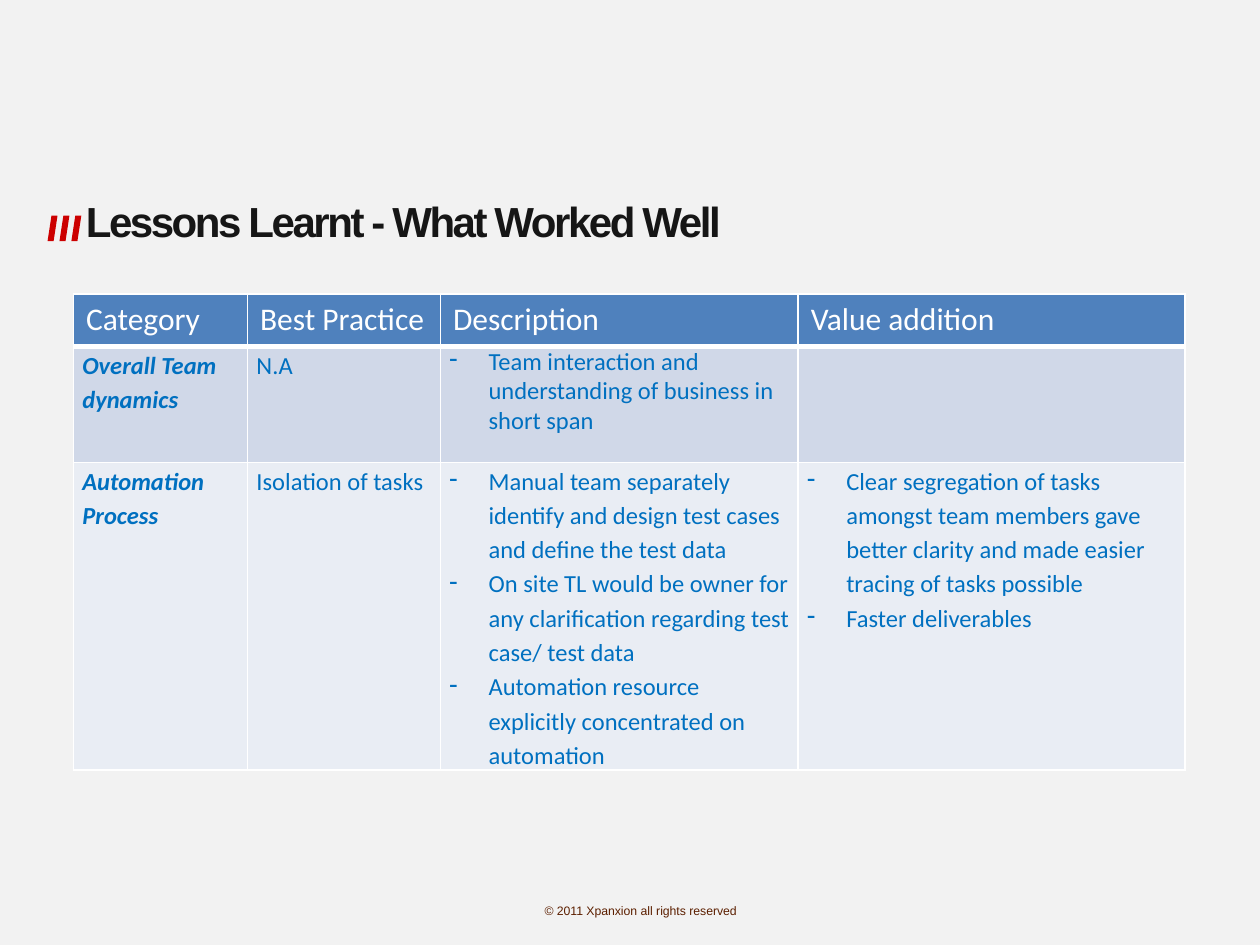
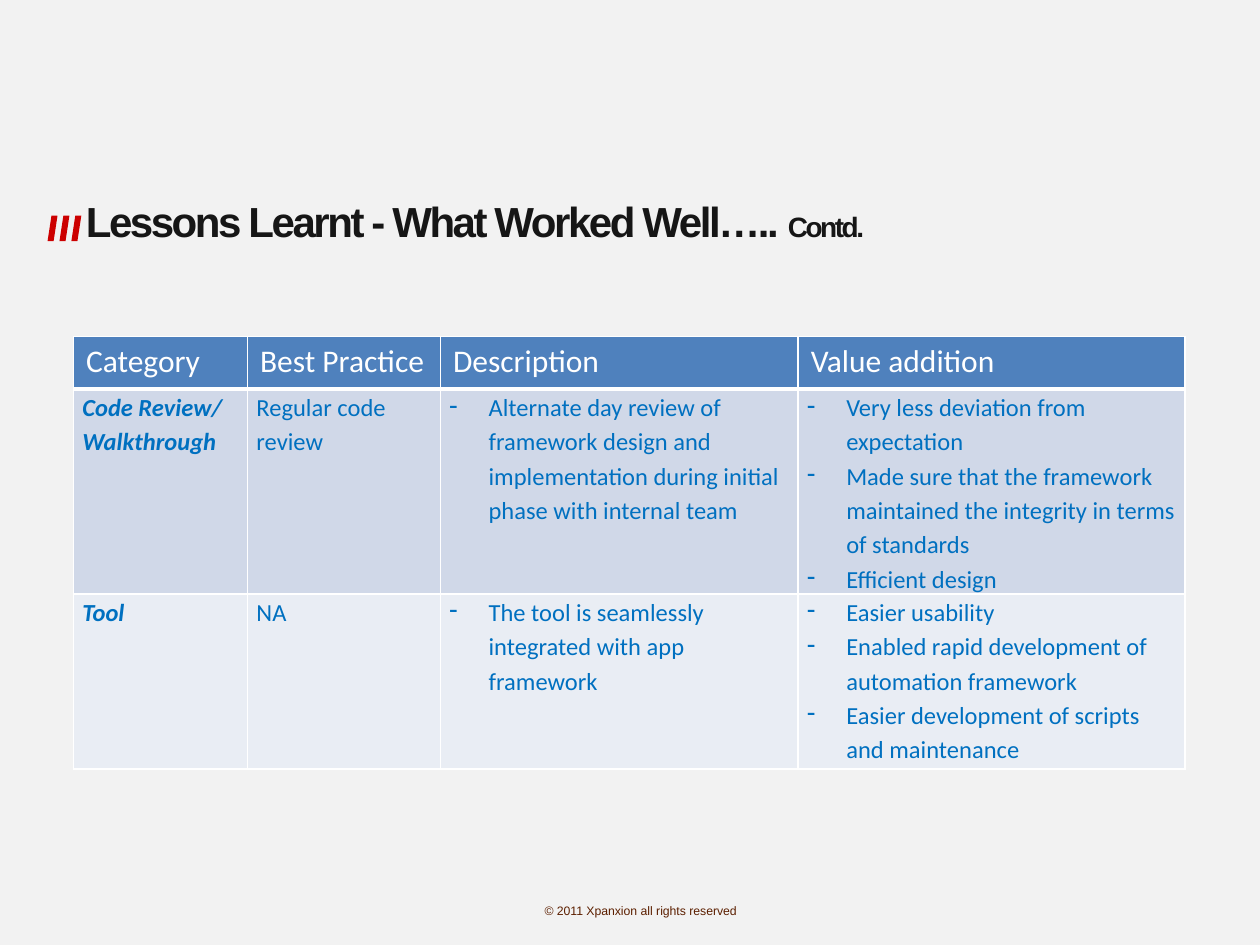
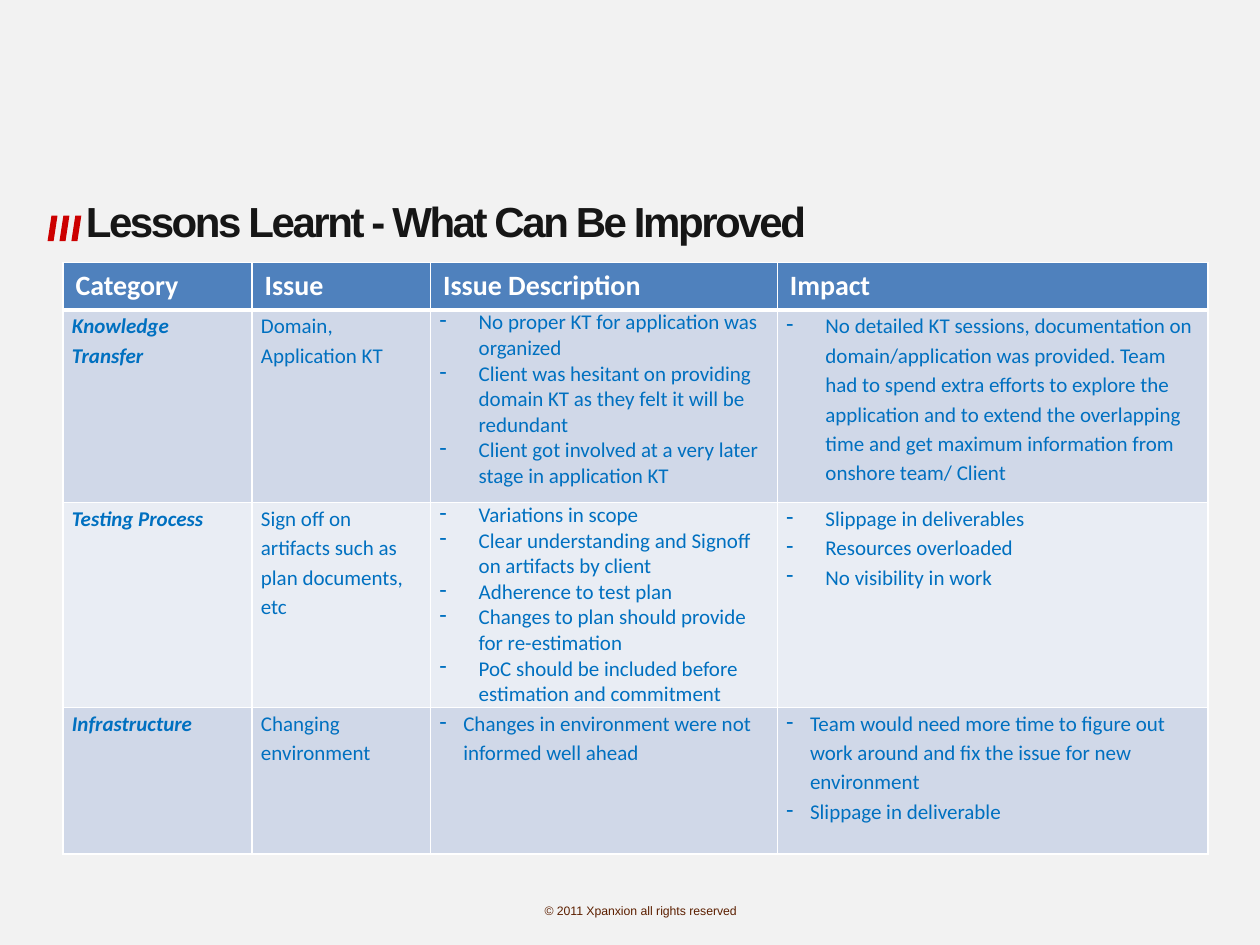
import pptx
import pptx.util
import pptx.dml.color
import pptx.enum.shapes
import pptx.enum.text
import pptx.oxml
import pptx.oxml.ns
from pptx.util import Cm

WHITE = "FFFFFF"
BACKGROUND = "F2F2F2"
ACCENT_RED = "CC0000"
TITLE_BLACK = "161616"
FOOTER_BROWN = "5C1F00"
HEADER_BLUE = "4F81BD"
BODY_BLUE = "0070C0"
BAND_FILLS = ["D0D8E8", "E9EDF4"]
WIDE_INDENT = 0.79
NARROW_INDENT = 0.48


def color(hex_value):
    return pptx.dml.color.RGBColor.from_string(hex_value)


def write(paragraph, text, font="Calibri", size=14, fill=BODY_BLUE, bold=False, italic=False, tracking=0):
    run = paragraph.add_run()
    run.text = text
    run.font.name = font
    run.font.size = pptx.util.Pt(size)
    run.font.bold = bold
    run.font.italic = italic
    run.font.color.rgb = color(fill)
    if tracking:
        run.font._element.set("spc", str(round(tracking * 100)))


working_headers = ["Category", "Best Practice", "Description", "Value addition"]
working_columns = [3.51, 3.89, 7.21, 7.8]

lessons = [
    {
        "title": "Lessons Learnt - What Worked Well",
        "suffix": "",
        "left": 1.48, "top": 5.93,
        "columns": working_columns,
        "headers": working_headers,
        "header_height": 1.06, "header_size": 18, "header_bold": False, "body_size": 14,
        "rows": [
            (2.33, "Overall Team dynamics", "N.A",
             ["Team interaction and understanding of business in short span"],
             [], 1.0, WIDE_INDENT),
            (6.2, "Automation Process", "Isolation of tasks",
             ["Manual team separately identify and design test cases and define the test data",
              "On site TL would be owner for any clarification regarding test case/ test data",
              "Automation resource explicitly concentrated on automation"],
             ["Clear segregation of tasks amongst team members gave better clarity and made easier "
              "tracing of tasks possible",
              "Faster deliverables"], 1.15, WIDE_INDENT),
        ],
    },
    {
        "title": "Lessons Learnt - What Worked Well….. ",
        "suffix": "Contd.",
        "left": 1.48, "top": 6.78,
        "columns": working_columns,
        "headers": working_headers,
        "header_height": 1.06, "header_size": 18, "header_bold": False, "body_size": 14,
        "rows": [
            (4.13, "Code Review/ Walkthrough", "Regular code review",
             ["Alternate day review of framework design and implementation during initial phase "
              "with internal team"],
             ["Very less deviation from expectation",
              "Made sure that the framework maintained the integrity in terms of standards",
              "Efficient design"], 1.15, WIDE_INDENT),
            (3.53, "Tool", "NA",
             ["The tool is seamlessly integrated with app framework"],
             ["Easier usability",
              "Enabled rapid development of automation framework",
              "Easier development of scripts and maintenance"], 1.15, WIDE_INDENT),
        ],
    },
    {
        "title": "Lessons Learnt - What Can Be Improved",
        "suffix": "",
        "left": 1.27, "top": 5.29,
        "columns": [3.81, 3.6, 6.99, 8.68],
        "headers": ["Category", "Issue", "Issue Description", "Impact"],
        "header_height": 0.96, "header_size": 16, "header_bold": True, "body_size": 12,
        "rows": [
            (3.88, "Knowledge Transfer", "Domain, Application KT",
             ["No proper KT for application was organized",
              "Client was hesitant on providing domain KT as they felt it will be redundant",
              "Client got involved at a very later stage in application KT"],
             ["No detailed KT sessions, documentation on domain/application was provided. Team had "
              "to spend extra efforts to explore the application and to extend the overlapping time "
              "and get maximum information from onshore team/ Client"], 1.0, WIDE_INDENT),
            (4.13, "Testing Process", "Sign off on artifacts such as plan documents, etc",
             ["Variations in scope",
              "Clear understanding and Signoff on artifacts by client",
              "Adherence to test plan",
              "Changes to plan should provide for re-estimation",
              "PoC should be included before estimation and commitment"],
             ["Slippage in deliverables", "Resources overloaded", "No visibility in work"],
             1.0, WIDE_INDENT),
            (2.96, "Infrastructure", "Changing environment",
             ["Changes in environment were not informed well ahead"],
             ["Team would need more time to figure out work around and fix the issue for new "
              "environment",
              "Slippage in deliverable"], 1.15, NARROW_INDENT),
        ],
    },
]

presentation = pptx.Presentation()
presentation.slide_width = Cm(25.4)
presentation.slide_height = Cm(19.05)

for lesson in lessons:
    slide = presentation.slides.add_slide(presentation.slide_layouts[6])
    slide.background.fill.solid()
    slide.background.fill.fore_color.rgb = color(BACKGROUND)

    footer = slide.shapes.add_textbox(Cm(10.59), Cm(18.08), Cm(4.65), Cm(0.56)).text_frame
    footer.word_wrap = True
    footer.vertical_anchor = pptx.enum.text.MSO_ANCHOR.MIDDLE
    footer.paragraphs[0].alignment = pptx.enum.text.PP_ALIGN.CENTER
    write(footer.paragraphs[0], "© 2011 Xpanxion all rights reserved",
          font="Arial", size=7, fill=FOOTER_BROWN)

    for stripe_index in range(3):
        stripe = slide.shapes.add_shape(
            pptx.enum.shapes.MSO_SHAPE.PARALLELOGRAM,
            Cm(0.96 + 0.24 * stripe_index), Cm(4.35), Cm(0.2), Cm(0.51))
        stripe.adjustments[0] = 0.39
        stripe.shadow.inherit = False
        stripe.fill.solid()
        stripe.fill.fore_color.rgb = color(ACCENT_RED)
        stripe.line.fill.background()

    title = slide.shapes.add_textbox(Cm(1.48), Cm(4.02), Cm(20.96), Cm(0.85)).text_frame
    title.word_wrap = True
    title.vertical_anchor = pptx.enum.text.MSO_ANCHOR.MIDDLE
    for text, size in [(lesson["title"], 24), (lesson["suffix"], 16)]:
        if text:
            write(title.paragraphs[0], text, font="Arial", size=size,
                  fill=TITLE_BLACK, bold=True, tracking=-1.4)

    heights = [lesson["header_height"]] + [row[0] for row in lesson["rows"]]
    table = slide.shapes.add_table(
        len(heights), len(lesson["columns"]), Cm(lesson["left"]), Cm(lesson["top"]),
        Cm(sum(lesson["columns"])), Cm(sum(heights))).table
    table.first_row = False
    table.horz_banding = False
    for column, width in zip(table.columns, lesson["columns"]):
        column.width = Cm(width)

    for row_index, height in enumerate(heights):
        table.rows[row_index].height = Cm(height)
        for cell in table.rows[row_index].cells:
            properties = cell._tc.get_or_add_tcPr()
            for side in "LRTB":
                thick = (row_index, side) in [(0, "B"), (1, "T")]
                properties.append(pptx.oxml.parse_xml(
                    f'<a:ln{side} {pptx.oxml.ns.nsdecls("a")} w="{38100 if thick else 12700}">'
                    f'<a:solidFill><a:srgbClr val="{WHITE}"/></a:solidFill></a:ln{side}>'))
            cell.fill.solid()
            cell.fill.fore_color.rgb = color(BAND_FILLS[(row_index - 1) % 2] if row_index else HEADER_BLUE)
            if row_index:
                cell.margin_left = cell.margin_right = Cm(0.18)
                cell.margin_top = cell.margin_bottom = 0

    for cell, header in zip(table.rows[0].cells, lesson["headers"]):
        write(cell.text_frame.paragraphs[0], header, size=lesson["header_size"],
              fill=WHITE, bold=lesson["header_bold"])

    for row_index, row in enumerate(lesson["rows"], start=1):
        height, category, practice, description, effect, description_spacing, indent = row
        columns = [([category], 1.15), ([practice], 1.15), (description, description_spacing), (effect, 1.15)]
        for column_index, (lines, spacing) in enumerate(columns):
            frame = table.cell(row_index, column_index).text_frame
            for line_index, line in enumerate(lines):
                paragraph = frame.add_paragraph() if line_index else frame.paragraphs[0]
                paragraph.line_spacing = spacing
                if column_index >= 2:
                    paragraph_properties = paragraph._p.get_or_add_pPr()
                    paragraph_properties.set("marL", str(Cm(indent)))
                    paragraph_properties.set("indent", str(-Cm(indent)))
                    paragraph_properties.append(pptx.oxml.parse_xml(
                        f'<a:buChar {pptx.oxml.ns.nsdecls("a")} char="-"/>'))
                write(paragraph, line, size=lesson["body_size"],
                      bold=column_index == 0, italic=column_index == 0)

presentation.save("out.pptx")
